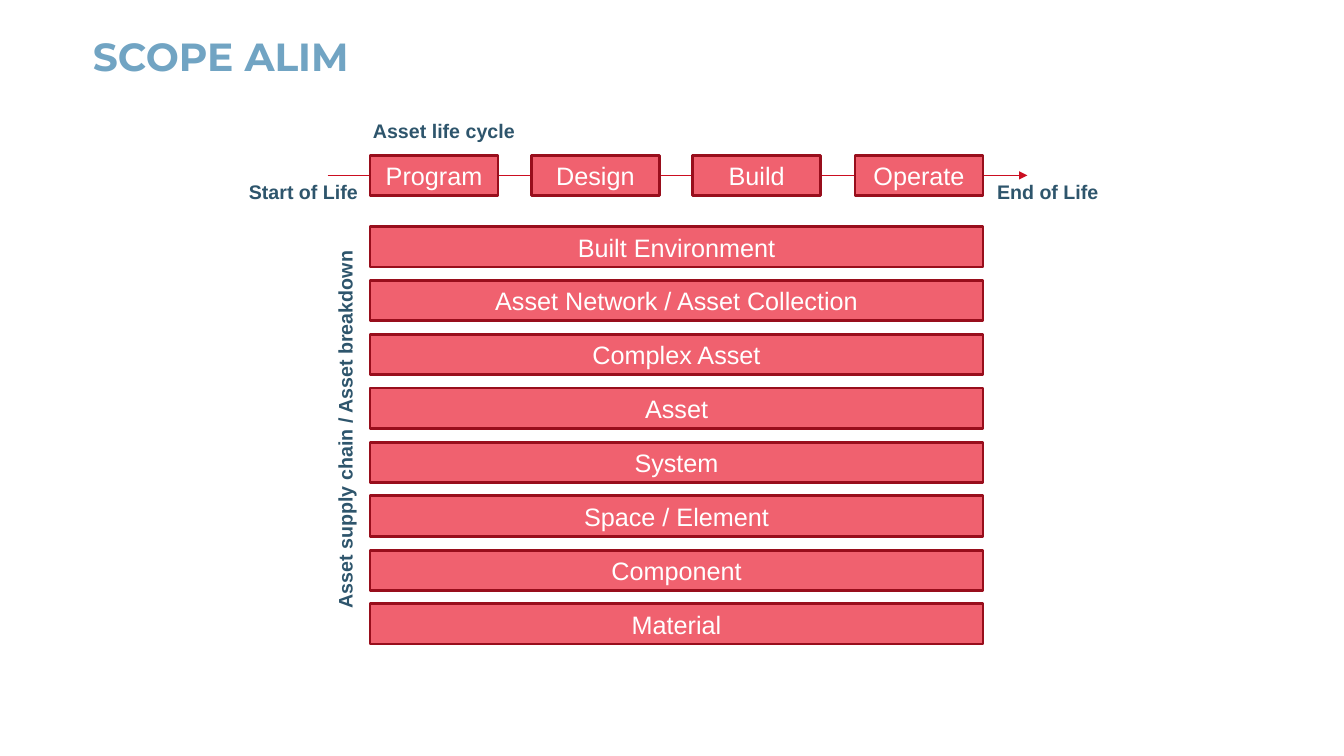
from lxml.etree import SubElement
from pptx import Presentation
from pptx.dml.color import RGBColor
from pptx.enum.shapes import MSO_CONNECTOR as Connector, MSO_SHAPE as Shape
from pptx.enum.text import MSO_ANCHOR as Anchor, MSO_AUTO_SIZE as AutoSize, PP_ALIGN as Align
from pptx.oxml.ns import qn
from pptx.util import Pt

PX = 9144
COLOURS = {
    "title": "71A4C3",
    "label": "2E556C",
    "fill": "F0616F",
    "border": "980E1C",
    "arrow": "CB0E21",
    "white": "FFFFFF",
}
STAGES = ["Program", "Design", "Build", "Operate"]
LEVELS = [
    "Built Environment",
    "Asset Network / Asset Collection",
    "Complex Asset",
    "Asset",
    "System",
    "Space / Element",
    "Component",
    "Material",
]
LABELS = [
    ("Asset life cycle", 360, 113, 161, 0),
    ("Start of Life", 237, 174, 134, 0),
    ("End of Life", 979, 174, 121, 0),
    ("Asset supply chain / Asset breakdown", 149, 403, 387, 270),
]


class ScopePage:
    """Draws the elements of the asset scope diagram on one slide."""

    def __init__(self, page):
        self.page = page

    def colour(self, name):
        return RGBColor.from_string(COLOURS[name])

    def place(self, *lengths):
        return [length * PX for length in lengths]

    def style_text(self, frame, text, size, colour, font="Arial", bold=False):
        frame.text = text
        para = frame.paragraphs[0]
        span = para.runs[0].font
        span.name, span.size, span.bold = font, Pt(size), bold
        span.color.rgb = self.colour(colour)
        return para

    def title(self, text, left, top, width, height):
        box = self.page.shapes.title
        box.left, box.top, box.width, box.height = self.place(left, top, width, height)
        frame = box.text_frame
        frame.margin_left = frame.margin_right = frame.margin_top = frame.margin_bottom = 0
        frame.vertical_anchor = Anchor.TOP
        frame.auto_size = AutoSize.NONE
        para = self.style_text(frame, text, 28, "title", "Montserrat", True)
        para.alignment = Align.LEFT
        para.line_spacing = Pt(28)

    def arrow(self, left, right, top):
        line = self.page.shapes.add_connector(
            Connector.STRAIGHT, *self.place(left, top, right, top))
        line.line.color.rgb = self.colour("arrow")
        line.line.width = Pt(0.75)
        properties = line._element.spPr
        SubElement(properties.find(qn("a:ln")), qn("a:tailEnd"), type="triangle")
        SubElement(properties, qn("a:effectLst"))

    def block(self, text, left, top, width, height=40):
        box = self.page.shapes.add_shape(
            Shape.RECTANGLE, *self.place(left, top, width, height))
        box.shadow.inherit = False
        box.fill.solid()
        box.fill.fore_color.rgb = self.colour("fill")
        box.line.color.rgb = self.colour("border")
        box.line.width = Pt(2)
        box.text_frame.vertical_anchor = Anchor.MIDDLE
        self.style_text(box.text_frame, text, 18, "white").alignment = Align.CENTER

    def label(self, text, left, top, width, rotation):
        box = self.page.shapes.add_textbox(*self.place(left, top, width, 34))
        box.rotation = rotation
        box.text_frame.word_wrap = False
        box.text_frame.auto_size = AutoSize.SHAPE_TO_FIT_TEXT
        self.style_text(box.text_frame, text, 14, "label", bold=True)


def main():
    deck = Presentation()
    deck.slide_width, deck.slide_height = 1333 * PX, 750 * PX
    scope = ScopePage(deck.slides.add_slide(deck.slide_layouts[5]))
    scope.title("SCOPE ALIM", 92, 40, 1150, 145)
    scope.arrow(325, 1019, 174)
    for index, stage in enumerate(STAGES):
        scope.block(stage, 367 + 481 * index // 3, 154, 127)
    for index, level in enumerate(LEVELS):
        scope.block(level, 367, 225 + 107 * index // 2, 608)
    for label in LABELS:
        scope.label(*label)
    deck.save("out.pptx")


if __name__ == "__main__":
    main()
